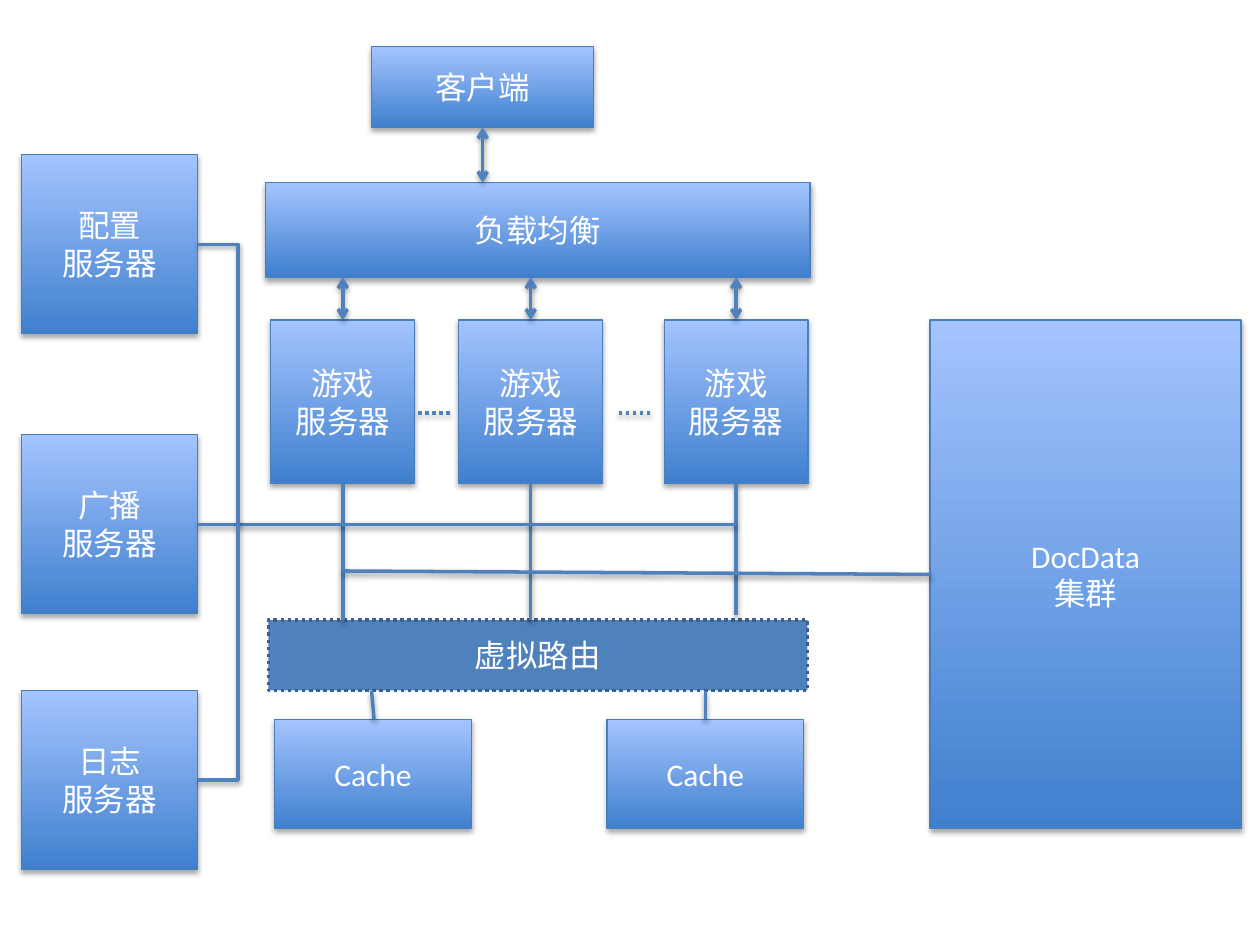
from lxml.etree import SubElement
from pptx import Presentation
from pptx.dml.color import RGBColor
from pptx.enum.dml import MSO_LINE
from pptx.enum.shapes import MSO_CONNECTOR, MSO_SHAPE
from pptx.enum.text import MSO_ANCHOR, PP_ALIGN
from pptx.oxml.ns import qn
from pptx.util import Cm, Pt

COLORS = {
    "bottom": "3F80CE",
    "top": "A4C4FF",
    "border": "4B7EBC",
    "link": "4F81BD",
    "router_border": "3A5F8C",
    "text": "FFFFFF",
    "shadow": "000000",
}


def color(name):
    return RGBColor.from_string(COLORS[name])


def add_shadow(effects, distance, opacity):
    """Put a soft shadow straight below into an effect list."""
    shadow = SubElement(effects, qn("a:outerShdw"), blurRad=str(Pt(3.1)),
                        dist=str(Pt(distance)), dir="5400000", rotWithShape="0")
    tone = SubElement(shadow, qn("a:srgbClr"), val=COLORS["shadow"])
    SubElement(tone, qn("a:alpha"), val=str(opacity * 1000))


def write_text(frame, text, size=18, font="Calibri", tone="text", align=PP_ALIGN.CENTER):
    frame.word_wrap = True
    frame.vertical_anchor = MSO_ANCHOR.MIDDLE
    frame.text = text
    for paragraph in frame.paragraphs:
        paragraph.alignment = align
        for run in paragraph.runs:
            run.font.size = Pt(size)
            run.font.name = font
            run.font.color.rgb = color(tone)


def add_rectangle(slide, text, left, top, width, height):
    shape = slide.shapes.add_shape(MSO_SHAPE.RECTANGLE, Cm(left), Cm(top), Cm(width), Cm(height))
    shape.shadow.inherit = False
    write_text(shape.text_frame, text)
    return shape


def add_box(slide, text, left, top, width, height):
    """Add a raised box with a vertical gradient."""
    shape = add_rectangle(slide, text, left, top, width, height)
    shape.fill.gradient()
    shape.fill.gradient_angle = 90
    for stop, name in zip(shape.fill.gradient_stops, ("bottom", "top")):
        stop.color.rgb = color(name)
    shape.line.color.rgb = color("border")
    shape.line.width = Pt(0.75)
    add_shadow(shape._element.spPr.find(qn("a:effectLst")), 1.8, 35)


def add_router(slide, text, left, top, width, height):
    """Add the flat box with a dotted border."""
    shape = add_rectangle(slide, text, left, top, width, height)
    shape.fill.solid()
    shape.fill.fore_color.rgb = color("link")
    shape.line.color.rgb = color("router_border")
    shape.line.width = Pt(2)
    shape.line.dash_style = MSO_LINE.ROUND_DOT


def add_link(slide, start, end, arrows=False, dotted=False, bent=False):
    kind = MSO_CONNECTOR.ELBOW if bent else MSO_CONNECTOR.STRAIGHT
    connector = slide.shapes.add_connector(kind, *map(Cm, start + end))
    connector.line.color.rgb = color("link")
    connector.line.width = Pt(2)
    properties = connector._element.spPr
    if bent:
        properties.find(qn("a:prstGeom")).set("prst", "bentConnector2")
    if dotted:
        connector.line.dash_style = MSO_LINE.ROUND_DOT
    if arrows:
        for end_name in ("a:headEnd", "a:tailEnd"):
            SubElement(properties.find(qn("a:ln")), qn(end_name), type="arrow")
    add_shadow(SubElement(properties, qn("a:effectLst")), 1.6, 38)


def main():
    presentation = Presentation()
    presentation.slide_width, presentation.slide_height = Cm(25.4), Cm(19.05)
    slide = presentation.slides.add_slide(presentation.slide_layouts[6])

    # Client and load balancer
    add_box(slide, "客户端", 7.49, 0.94, 4.47, 1.63)
    add_box(slide, "负载均衡", 5.36, 3.68, 10.97, 1.91)
    add_link(slide, (9.73, 2.57), (9.73, 3.68), arrows=True)

    # Game servers, linked to the balancer above and the router below
    game_top, game_width, game_height = 6.45, 2.9, 3.3
    game_centers = (6.91, 10.7, 14.84)
    add_router(slide, "虚拟路由", 5.41, 12.5, 10.87, 1.42)
    for center, link_end in zip(game_centers, (12.5, 12.5, 12.4)):
        add_box(slide, "游戏\n服务器", center - game_width / 2, game_top, game_width, game_height)
        add_link(slide, (center, game_top), (center, 5.59), arrows=True)
        add_link(slide, (center, game_top + game_height), (center, link_end))
    for left in (8.43, 12.47):
        add_link(slide, (left, 8.33), (left + 0.66, 8.33), dotted=True)

    # Caches below the router
    for left, link_top, link_bottom in ((5.54, 7.49, 7.54), (12.24, 14.22, 14.22)):
        add_box(slide, "Cache", left, 14.5, 3.96, 2.21)
        add_link(slide, (link_top, 13.92), (link_bottom, 14.5))

    # Database cluster
    add_box(slide, "DocData\n集群", 18.75, 6.45, 6.27, 10.26)
    add_link(slide, (game_centers[0], 11.51), (18.75, 11.58))

    # Support servers joined to one bus
    support_left, support_width, support_height = 0.43, 3.56, 3.61
    support_right = support_left + support_width
    bus_y = 10.57
    for name, top in (("配置", 3.12), ("广播", 8.76), ("日志", 13.92)):
        add_box(slide, f"{name}\n服务器", support_left, top, support_width, support_height)
    add_link(slide, (game_centers[-1], bus_y), (support_right, bus_y))
    for top in (3.12, 13.92):
        add_link(slide, (support_right, top + support_height / 2), (4.8, bus_y), bent=True)

    presentation.save("out.pptx")


main()
